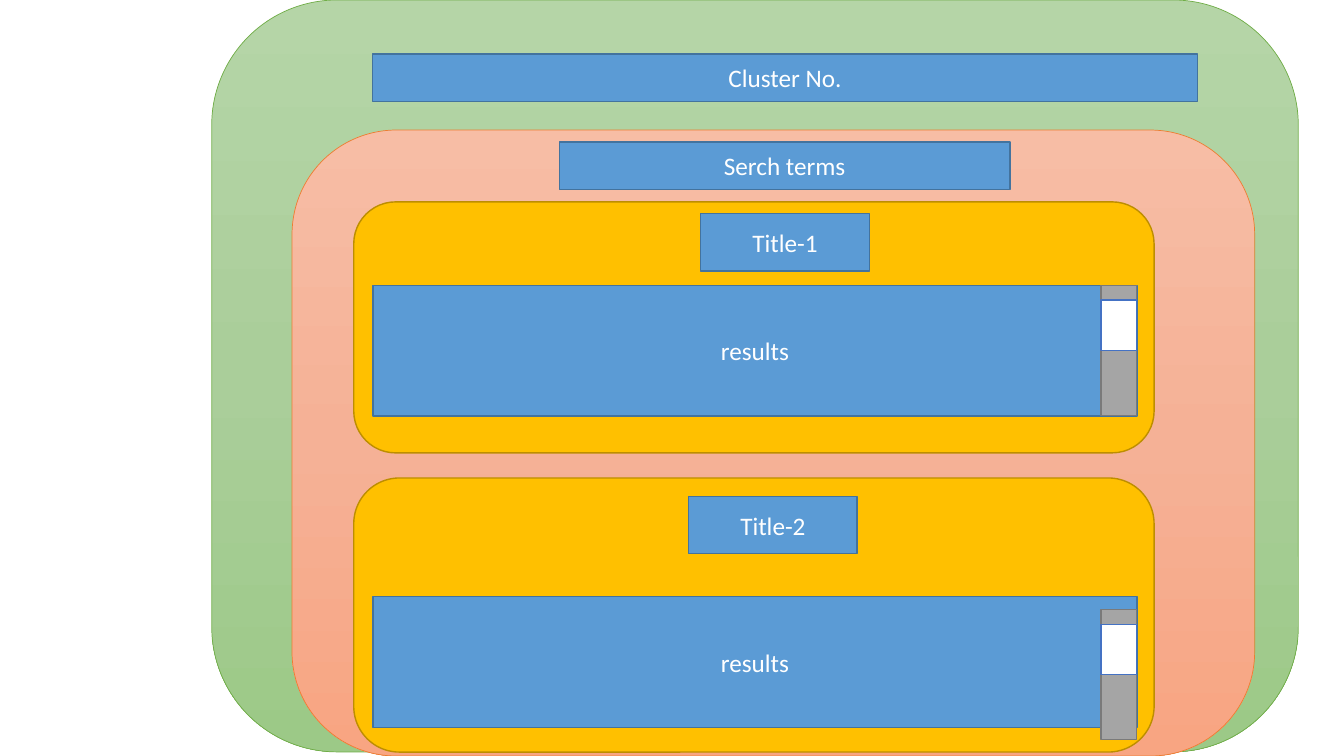
from copy import deepcopy

from pptx import Presentation
from pptx.dml.color import RGBColor
from pptx.enum.shapes import MSO_SHAPE
from pptx.enum.text import MSO_ANCHOR, PP_ALIGN
from pptx.oxml.ns import qn
from pptx.util import Pt

RECT, ROUNDED = MSO_SHAPE.RECTANGLE, MSO_SHAPE.ROUNDED_RECTANGLE
MIDDLE, CENTER = MSO_ANCHOR.MIDDLE, PP_ALIGN.CENTER

WHITE = RGBColor(0xFF, 0xFF, 0xFF)
BLUE = RGBColor(0x5B, 0x9B, 0xD5)
BLUE_EDGE = RGBColor(0x43, 0x73, 0x9E)
GOLD = RGBColor(0xFF, 0xC0, 0x00)
GOLD_EDGE = RGBColor(0xBD, 0x8E, 0x00)
GRAY = RGBColor(0xA5, 0xA5, 0xA5)
GRAY_EDGE = RGBColor(0x7A, 0x7A, 0x7A)
THUMB_EDGE = RGBColor(0x44, 0x72, 0xC4)
GREEN_EDGE = RGBColor(0x70, 0xAD, 0x47)
GREENS = (RGBColor(0xB5, 0xD5, 0xA7), RGBColor(0xAA, 0xCE, 0x9A), RGBColor(0x9C, 0xC9, 0x87))
ORANGE_EDGE = RGBColor(0xED, 0x7D, 0x31)
ORANGES = (RGBColor(0xF7, 0xBD, 0xA5), RGBColor(0xF5, 0xB1, 0x96), RGBColor(0xF8, 0xA5, 0x82))

PANEL_LEFT, PANEL_WIDTH = 252.7, 571.7
RESULTS_LEFT, RESULTS_WIDTH, RESULTS_HEIGHT = 266.4, 545.8, 93.4
SCROLL_LEFT, SCROLL_WIDTH, SCROLL_HEIGHT = 786.5, 25.4, 92.9
THUMB_OFFSET, THUMB_HEIGHT = 10.5, 36


def add_box(slide, kind, bounds, edge, fill=None, edge_width=1):
    """Add a shadowless outlined box, solid when a fill is given."""
    box = slide.shapes.add_shape(kind, *(Pt(length) for length in bounds))
    box.shadow.inherit = False
    box.line.color.rgb = edge
    box.line.width = Pt(edge_width)
    if fill is not None:
        box.fill.solid()
        box.fill.fore_color.rgb = fill
    return box


def add_gradient_frame(slide, bounds, edge, colors):
    """Add a rounded frame shaded from top to bottom in three colours."""
    frame = add_box(slide, ROUNDED, bounds, edge, edge_width=0.5)
    frame.fill.gradient()
    frame.fill.gradient_angle = 270
    stop_list = frame._element.spPr.find(qn("a:gradFill")).find(qn("a:gsLst"))
    stop_list.insert(1, deepcopy(stop_list[0]))
    for index, (stop, color) in enumerate(zip(frame.fill.gradient_stops, colors)):
        stop.position = index / 2
        stop.color.rgb = color


def add_label(slide, bounds, wording):
    """Add a blue box with centred white wording."""
    label = add_box(slide, RECT, bounds, BLUE_EDGE, BLUE)
    label.text_frame.word_wrap = True
    label.text_frame.vertical_anchor = MIDDLE
    paragraph = label.text_frame.paragraphs[0]
    paragraph.text = wording
    paragraph.alignment = CENTER
    paragraph.font.name = "Calibri"
    paragraph.font.size = Pt(18)
    paragraph.font.color.rgb = WHITE


def add_scrollbar(slide, top):
    """Add a gray scroll track with its white thumb."""
    add_box(slide, RECT, (SCROLL_LEFT, top, SCROLL_WIDTH, SCROLL_HEIGHT), GRAY_EDGE, GRAY)
    add_box(slide, RECT, (SCROLL_LEFT, top + THUMB_OFFSET, SCROLL_WIDTH, THUMB_HEIGHT),
            THUMB_EDGE, WHITE)


def add_result_panel(slide, title, top, height, title_left, title_top, results_top, scroll_top):
    """Add a gold panel holding a title and a scrollable results box."""
    add_box(slide, ROUNDED, (PANEL_LEFT, top, PANEL_WIDTH, height), GOLD_EDGE, GOLD)
    add_label(slide, (title_left, title_top, 120.4, 41), title)
    add_label(slide, (RESULTS_LEFT, results_top, RESULTS_WIDTH, RESULTS_HEIGHT), "results")
    add_scrollbar(slide, scroll_top)


def main():
    """Build the cluster layout slide and save it."""
    deck = Presentation()
    deck.slide_width, deck.slide_height = Pt(960), Pt(540)
    slide = deck.slides.add_slide(deck.slide_layouts[6])

    add_gradient_frame(slide, (151.2, 0, 776.2, 537.1), GREEN_EDGE, GREENS)
    add_gradient_frame(slide, (208.6, 92.9, 687.6, 447.1), ORANGE_EDGE, ORANGES)
    add_label(slide, (266.2, 38.6, 589, 33.8), "Cluster No.")
    add_label(slide, (399.5, 101.6, 322, 33.8), "Serch terms")
    add_result_panel(slide, "Title-1", 144.2, 179.3, 500.5, 152.6, 203.9, 203.9)
    add_result_panel(slide, "Title-2", 341.4, 195.8, 491.9, 354.5, 426.2, 435.4)

    deck.save("out.pptx")


if __name__ == "__main__":
    main()
